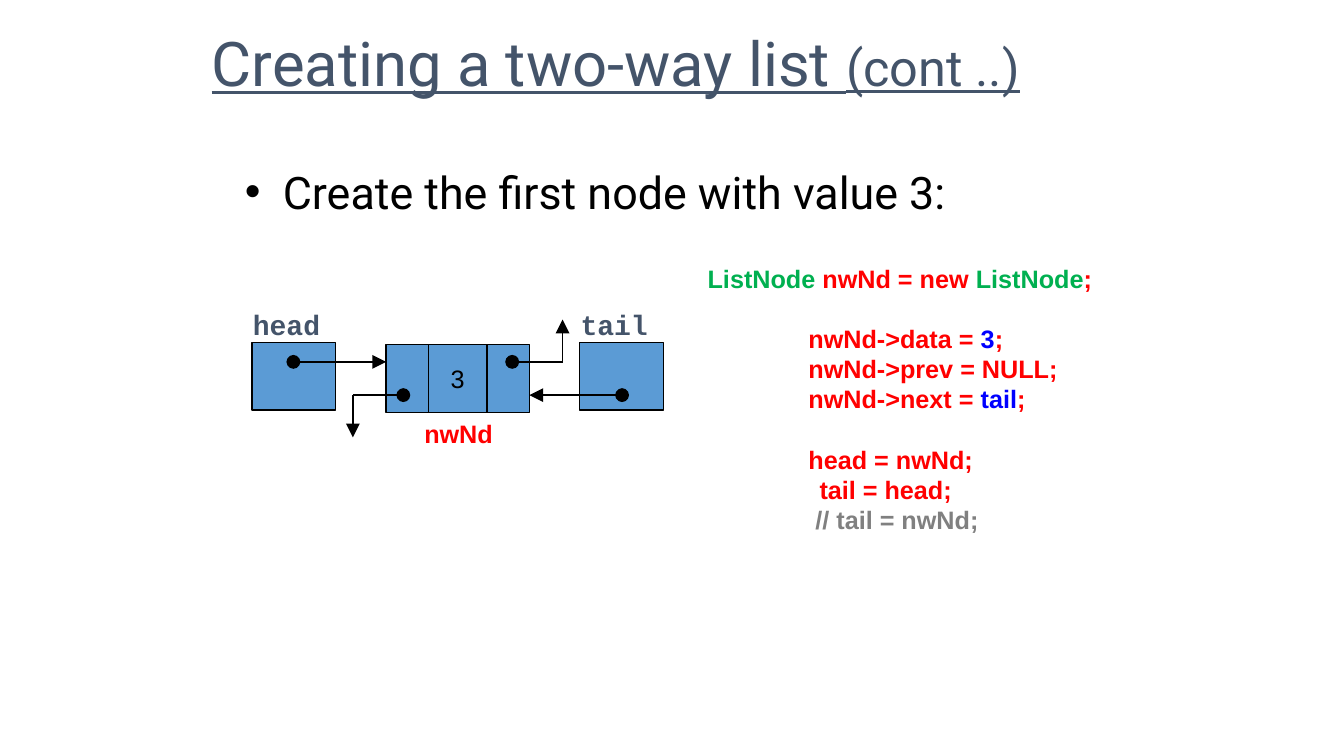
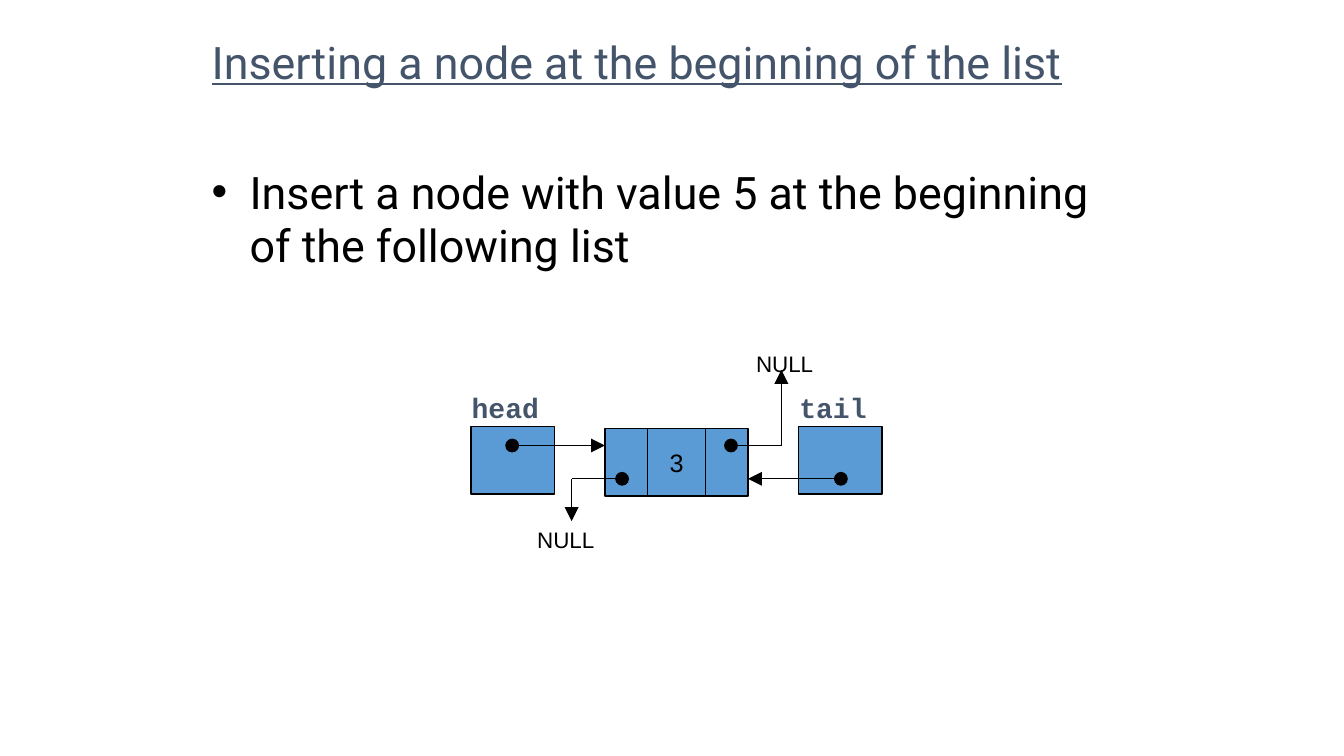
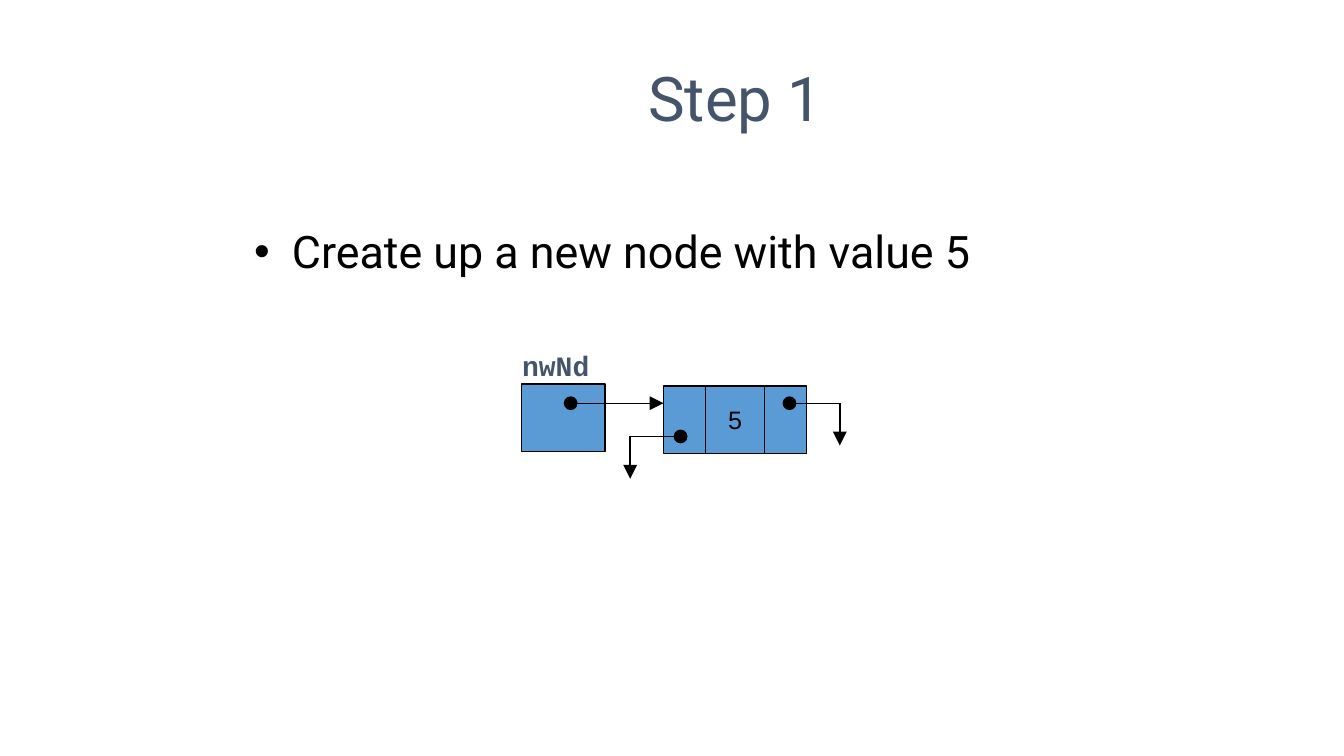
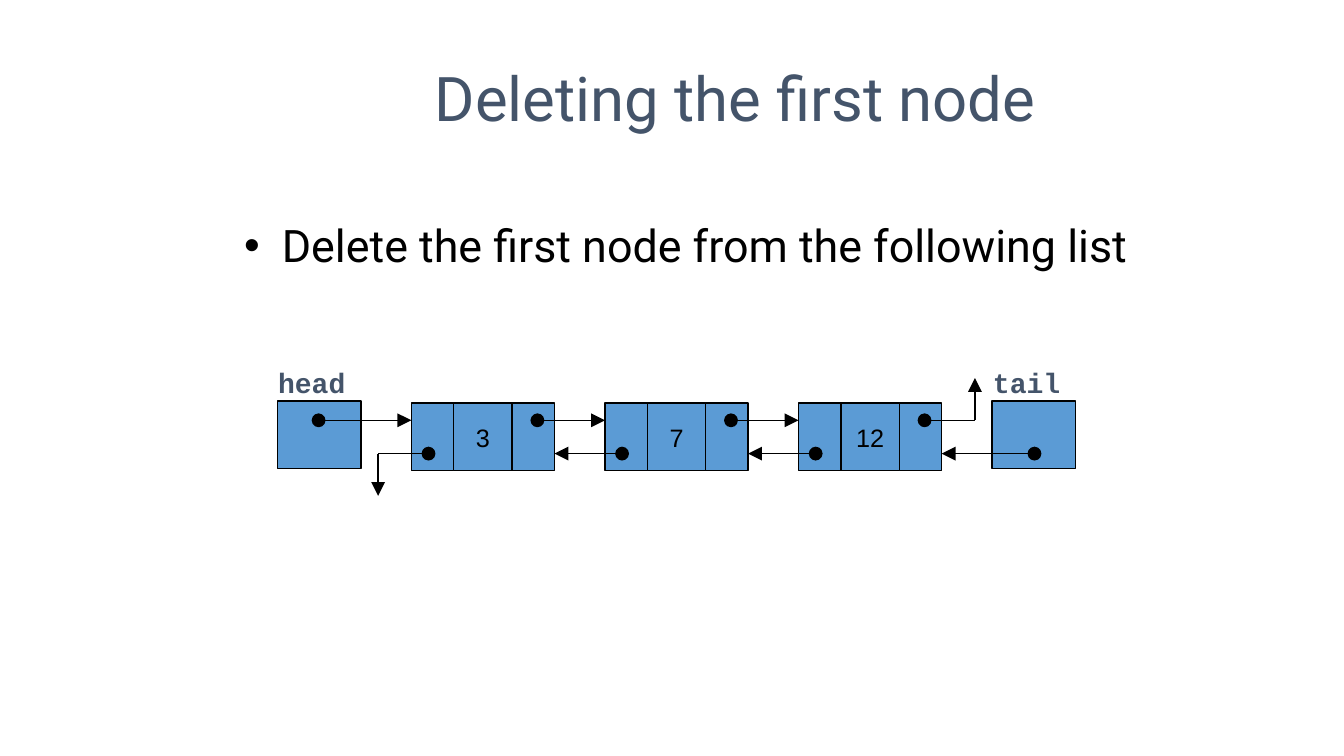
from dataclasses import dataclass
from typing import NamedTuple, Optional

from lxml.etree import SubElement
from pptx import Presentation
from pptx.dml.color import RGBColor
from pptx.enum.shapes import MSO_CONNECTOR, MSO_SHAPE
from pptx.enum.text import MSO_ANCHOR, MSO_AUTO_SIZE, PP_ALIGN
from pptx.oxml.ns import qn
from pptx.util import Inches, Pt

BLACK, SLATE, BLUE = "000000", "44546A", "5B9BD5"
RED, GREEN, NAVY, GREY = "FF0000", "00B050", "0000FF", "808080"

NODE_H, LINK_W, DATA_W = 0.67, 0.42, 0.58
NODE_W = 2 * LINK_W + DATA_W
NODE_PITCH = 1.92
POINTER_W, POINTER_DOT = 0.83, 0.92
NEXT_ROW, PREV_ROW = 0.17, 0.5
LINK_DOT = 0.17
NULL_REACH, NULL_DROP = 0.33, 0.42


class Box(NamedTuple):
    left: float
    top: float
    width: float
    height: float


class Span(NamedTuple):
    text: str
    color: str = RED


class Line(NamedTuple):
    spans: list[Span]
    gap: float = 0


@dataclass
class Heading:
    text: str
    box: Box
    size: float = 44
    suffix: str = ""
    underline: bool = False
    align: PP_ALIGN = PP_ALIGN.CENTER


@dataclass
class Bullet:
    text: str
    box: Box
    spacing: float = 1.0
    side_inset: float = 0.1


@dataclass
class LinkedList:
    left: float
    top: float
    values: list[str]
    head: str = "head"
    head_gap: float = 0.5
    tail: Optional[str] = "tail"
    end_rise: float = -NULL_DROP


def rgb(color: str) -> RGBColor:
    return RGBColor.from_string(color)


def set_font(font, name: str, size: float, color: str, bold: bool = False) -> None:
    font.name, font.size, font.bold = name, Pt(size), bold
    font.color.rgb = rgb(color)


def place(shape, box: Box) -> None:
    shape.left, shape.top, shape.width, shape.height = map(Inches, box)


def add_heading(s, heading: Heading) -> None:
    title = s.shapes.title
    place(title, heading.box)
    tf = title.text_frame
    tf.auto_size = MSO_AUTO_SIZE.NONE
    tf.vertical_anchor = MSO_ANCHOR.MIDDLE
    p = tf.paragraphs[0]
    p.alignment = heading.align
    p.add_run().text = heading.text
    set_font(p.font, "Roboto", heading.size, SLATE)
    p.font.underline = heading.underline
    if heading.suffix:
        r = p.add_run()
        r.text = heading.suffix
        r.font.size = Pt(36)


def add_bullet(s, bullet: Bullet) -> None:
    body = s.placeholders[1]
    place(body, bullet.box)
    tf = body.text_frame
    tf.auto_size = MSO_AUTO_SIZE.NONE
    tf.margin_left = tf.margin_right = Inches(bullet.side_inset)
    p = tf.paragraphs[0]
    p.text = bullet.text
    p.space_before = Pt(0)
    p.line_spacing = bullet.spacing
    set_font(p.font, "Roboto", 32, BLACK)


def add_label(s, text: str, box: Box, font: str, size: float, color: str,
              bold: bool = False) -> None:
    tb = s.shapes.add_textbox(*map(Inches, box))
    tb.text_frame.word_wrap = True
    p = tb.text_frame.paragraphs[0]
    p.text = text
    set_font(p.font, font, size, color, bold)


def add_code(s, lines: list[Line], box: Box) -> None:
    tf = s.shapes.add_textbox(*map(Inches, box)).text_frame
    tf.word_wrap = True
    for i, line in enumerate(lines):
        p = tf.paragraphs[0] if i == 0 else tf.add_paragraph()
        p.space_before = Pt(line.gap)
        tabs = SubElement(p._p.get_or_add_pPr(), qn("a:tabLst"))
        SubElement(tabs, qn("a:tab"), pos=str(Inches(1)), algn="l")
        set_font(p.font, "Arial", 18, RED, True)
        for span in line.spans:
            r = p.add_run()
            r.text = span.text
            r.font.color.rgb = rgb(span.color)


def add_cell(s, box: Box, text: str = "") -> None:
    cell = s.shapes.add_shape(MSO_SHAPE.RECTANGLE, *map(Inches, box))
    cell.shadow.inherit = False
    cell.fill.solid()
    cell.fill.fore_color.rgb = rgb(BLUE)
    cell.line.color.rgb = rgb(BLACK)
    cell.line.width = Pt(1)
    if text:
        tf = cell.text_frame
        tf.vertical_anchor = MSO_ANCHOR.MIDDLE
        p = tf.paragraphs[0]
        p.alignment = PP_ALIGN.CENTER
        p.text = text
        set_font(p.font, "Arial", 18, BLACK)


def add_link(s, x1: float, y1: float, x2: float, y2: float,
             dot: bool = True, arrow: bool = True) -> None:
    link = s.shapes.add_connector(
        MSO_CONNECTOR.STRAIGHT, *map(Inches, (x1, y1, x2, y2)))
    link.line.color.rgb = rgb(BLACK)
    link.line.width = Pt(1)
    ln = link.line._get_or_add_ln()
    if dot:
        SubElement(ln, qn("a:headEnd"), type="oval", w="lg", len="lg")
    if arrow:
        SubElement(ln, qn("a:tailEnd"), type="triangle", w="lg", len="lg")
    SubElement(link._element.spPr, qn("a:effectLst"))


def add_null_link(s, x: float, y: float, end_x: float, drop: float) -> None:
    add_link(s, x, y, end_x, y, arrow=False)
    add_link(s, end_x, y, end_x, y + drop, dot=False)


def add_pointer(s, name: str, left: float, top: float) -> None:
    add_cell(s, Box(left, top - 0.02, POINTER_W, NODE_H))
    add_label(s, name, Box(left - 0.09, top - 0.42, 1.17, 0.43),
              "Courier New", 20, SLATE, True)


def add_node(s, value: str, left: float, top: float) -> None:
    add_cell(s, Box(left + LINK_W, top, DATA_W, NODE_H), value)
    for x in (left, left + LINK_W + DATA_W):
        add_cell(s, Box(x, top, LINK_W, NODE_H))


def add_list(s, chain: LinkedList) -> None:
    lefts = [chain.left + i * NODE_PITCH for i in range(len(chain.values))]
    first, end = lefts[0], lefts[-1] + NODE_W
    next_y, prev_y = chain.top + NEXT_ROW, chain.top + PREV_ROW

    add_pointer(s, chain.head, first - chain.head_gap - POINTER_W, chain.top)
    if chain.tail:
        add_pointer(s, chain.tail, end + 0.5, chain.top)
    for value, left in zip(chain.values, lefts):
        add_node(s, value, left, chain.top)

    add_link(s, first - POINTER_DOT, next_y, first, next_y)
    if chain.tail:
        add_link(s, end + POINTER_DOT, prev_y, end, prev_y)
    for left, following in zip(lefts, lefts[1:]):
        right = left + NODE_W
        add_link(s, right - LINK_DOT, next_y, following, next_y)
        add_link(s, following + LINK_DOT, prev_y, right, prev_y)
    add_null_link(s, first + LINK_DOT, prev_y, first - NULL_REACH, NULL_DROP)
    add_null_link(s, end - LINK_DOT, next_y, end + NULL_REACH, chain.end_rise)


def add_list_slide(prs, heading: Heading, bullet: Bullet, chain: LinkedList):
    s = prs.slides.add_slide(prs.slide_layouts[1])
    add_heading(s, heading)
    add_bullet(s, bullet)
    add_list(s, chain)
    return s


def main() -> None:
    prs = Presentation()
    prs.slide_width, prs.slide_height = Inches(13.33), Inches(7.5)
    step_box = Box(3.67, 0.35, 7.25, 1.23)
    blank_line = 21.5

    s = add_list_slide(
        prs,
        Heading("Creating a two-way list ", Box(2, 0, 9.42, 1.23),
                suffix="(cont ..)", underline=True, align=PP_ALIGN.LEFT),
        Bullet("Create the first node with value 3:", Box(2.33, 1.58, 8.5, 0.83)),
        LinkedList(3.83, 3.42, ["3"]))
    add_code(s, [
        Line([Span("ListNode ", GREEN), Span("nwNd = new "),
              Span("ListNode", GREEN), Span(";")]),
        Line([Span("\tnwNd->data = "), Span("3", NAVY), Span(";")], blank_line),
        Line([Span("\tnwNd->prev = NULL;")]),
        Line([Span("\tnwNd->next = "), Span("tail", NAVY), Span(";")]),
        Line([Span("\thead = nwNd;")], blank_line),
        Line([Span("                tail = head;")]),
        Line([Span("\t // tail = nwNd;", GREY)]),
    ], Box(6.92, 2.56, 4.75, 2.83))
    add_label(s, "nwNd", Box(4.11, 4.1, 0.95, 0.4), "Arial", 18, RED, True)

    s = add_list_slide(
        prs,
        Heading("Inserting a node at the beginning of the list",
                Box(2, 0, 9.5, 1.23), 32, underline=True, align=PP_ALIGN.LEFT),
        Bullet("Insert a node with value 5 at the beginning of the following list",
               Box(2, 1.58, 9.25, 3.42)),
        LinkedList(6, 4.25, ["3"], end_rise=-0.75))
    for left, top in ((5.23, 5.17), (7.4, 3.42)):
        add_label(s, "NULL", Box(left, top, 0.85, 0.37), "Arial", 16, BLACK)

    add_list_slide(
        prs,
        Heading("Step 1", step_box),
        Bullet("Create up a new node with value 5", Box(2.42, 2.17, 8.5, 0.83)),
        LinkedList(6.58, 3.83, ["5"], "nwNd", 0.58, None, NULL_DROP))

    add_list_slide(
        prs,
        Heading("Deleting the first node", step_box),
        Bullet("Delete the first node from the following list",
               Box(2.42, 2.17, 8.92, 0.92), 0.9, 0),
        LinkedList(4.08, 4, ["3", "7", "12"]))

    prs.save("out.pptx")


if __name__ == "__main__":
    main()
